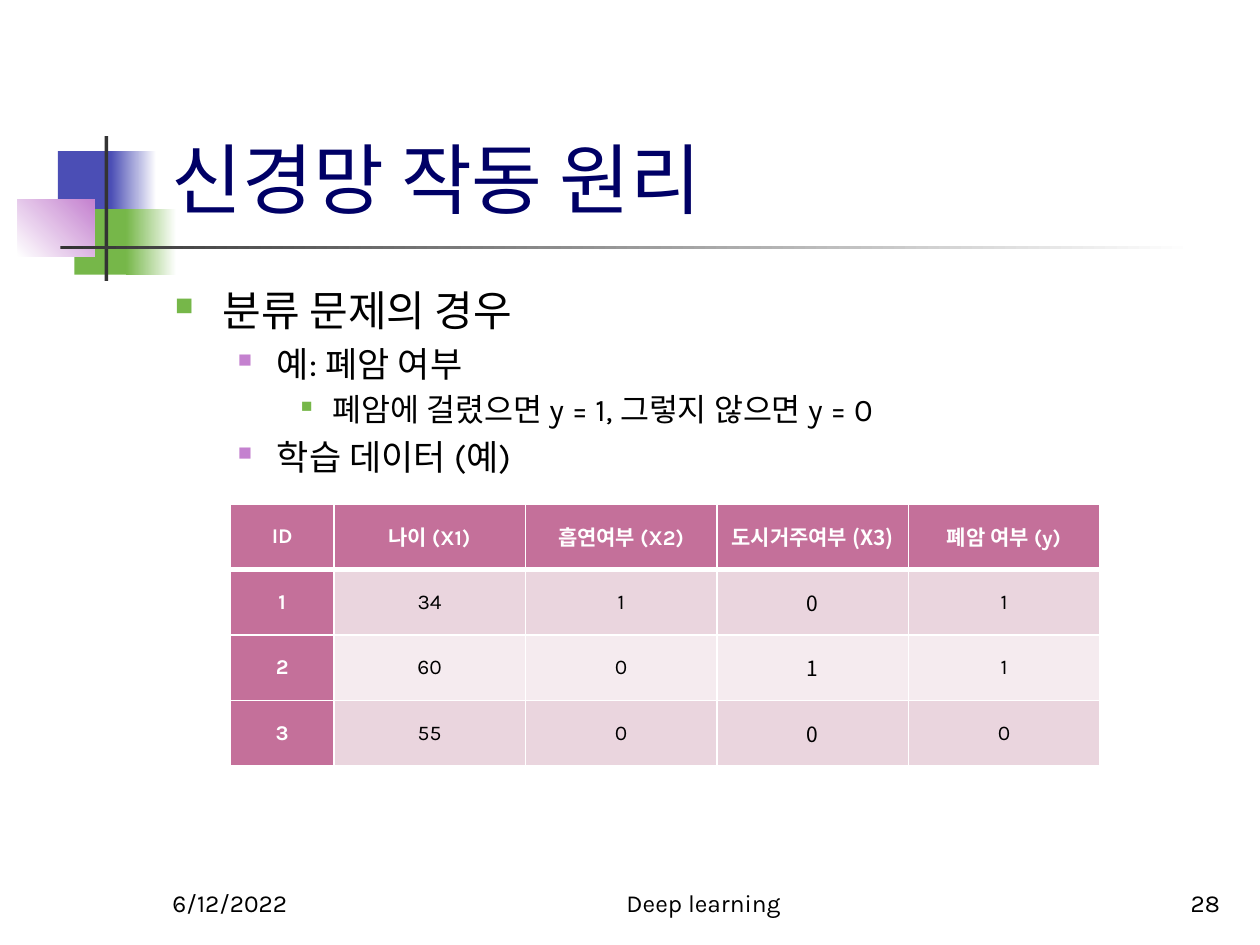
from dataclasses import dataclass
from typing import Any

from lxml import etree
from pptx import Presentation
from pptx import util as u
from pptx.dml.color import RGBColor
from pptx.enum import shapes, text
from pptx.oxml import ns

ALIGN = {"l": text.PP_ALIGN.LEFT, "c": text.PP_ALIGN.CENTER, "r": text.PP_ALIGN.RIGHT}


def color(code):
    return RGBColor.from_string(code)


def child(parent, tag, **attributes):
    return etree.SubElement(parent, ns.qn(tag), **attributes)


def write(paragraph, words, font="Karla", size=14, ink="000000", bold=False,
          align="l", before=0, after=0):
    paragraph.alignment = ALIGN[align]
    paragraph.space_before = u.Pt(before)
    paragraph.space_after = u.Pt(after)
    run = paragraph.add_run()
    run.text = words
    run.font.name = font
    run.font.size = u.Pt(size)
    run.font.bold = bold
    run.font.color.rgb = color(ink)


@dataclass
class LectureSlide:
    slide: Any
    blue: str = "4B4EB5"
    green: str = "76B749"
    violet: str = "C481CF"
    dark: str = "333333"
    white: str = "FFFFFF"
    navy: str = "000066"
    rose: str = "C4709A"
    bands: tuple = ("EAD5DE", "F5EBEF")

    def block(self, box, start, end=None, angle=0):
        rect = self.slide.shapes.add_shape(
            shapes.MSO_SHAPE.RECTANGLE, *map(u.Inches, box))
        rect.shadow.inherit = False
        rect.line.fill.background()
        if end is None:
            rect.fill.solid()
            rect.fill.fore_color.rgb = color(start)
            return
        rect.fill.gradient()
        rect.fill.gradient_angle = angle
        for stop, code in zip(rect.fill.gradient_stops, (start, end)):
            stop.color.rgb = color(code)

    def title(self, box, words):
        heading = self.slide.shapes.title
        heading.left, heading.top, heading.width, heading.height = map(u.Inches, box)
        frame = heading.text_frame
        frame.auto_size = text.MSO_AUTO_SIZE.NONE
        frame.vertical_anchor = text.MSO_ANCHOR.BOTTOM
        write(frame.paragraphs[0], words, size=44, ink=self.navy)

    def frame(self, box, anchor=text.MSO_ANCHOR.TOP):
        frame = self.slide.shapes.add_textbox(*map(u.Inches, box)).text_frame
        frame.word_wrap = True
        frame.vertical_anchor = anchor
        return frame

    def footer(self, box, words, align):
        frame = self.frame(box, text.MSO_ANCHOR.BOTTOM)
        write(frame.paragraphs[0], words, align=align)

    def outline(self, box, points):
        levels = ((24, 0.38, 0.38, self.green, 60),
                  (20, 0.81, 0.31, self.violet, 55),
                  (18, 1.25, 0.25, self.green, 50))
        frame = self.frame(box)
        for i, (level, words) in enumerate(points):
            size, margin, hang, bullet, percent = levels[level]
            paragraph = frame.add_paragraph() if i else frame.paragraphs[0]
            paragraph.level = level
            props = paragraph._p.get_or_add_pPr()
            props.set("marL", str(u.Inches(margin)))
            props.set("indent", str(-u.Inches(hang)))
            child(child(props, "a:buClr"), "a:srgbClr", val=bullet)
            child(props, "a:buSzPct", val=str(percent * 1000))
            child(props, "a:buChar", char="■")
            write(paragraph, words, size=size, before=0.2 * size if i else 0)

    def borders(self, cell, **widths):
        props = cell._tc.get_or_add_tcPr()
        for i, side in enumerate("LRTB"):
            width = u.Pt(widths.get(side, 1))
            edge = etree.Element(ns.qn(f"a:ln{side}"), w=str(width))
            child(child(edge, "a:solidFill"), "a:srgbClr", val=self.white)
            props.insert(i, edge)

    def table(self, box, widths, rows):
        grid = self.slide.shapes.add_table(
            len(rows), len(widths), *map(u.Inches, box)).table
        for column, width in zip(grid.columns, widths):
            column.width = u.Inches(width)
        for r, row in enumerate(rows):
            grid.rows[r].height = u.Inches(box[3] / len(rows))
            for c, words in enumerate(row):
                cell = grid.cell(r, c)
                header = r == 0 or c == 0
                cell.fill.solid()
                cell.fill.fore_color.rgb = color(
                    self.rose if header else self.bands[(r - 1) % 2])
                cell.margin_left = cell.margin_right = u.Inches(0.07)
                cell.margin_top = cell.margin_bottom = 0
                cell.vertical_anchor = text.MSO_ANCHOR.MIDDLE
                self.borders(cell, T=3 if r == 1 else 1, B=3 if r == 0 else 1)
                write(cell.text_frame.paragraphs[0], words, size=12, bold=header,
                      font="Noto Sans CJK KR" if c == 3 else "Karla",
                      ink=self.white if header else "000000",
                      align="c", before=8, after=8)


def main():
    deck = Presentation()
    deck.slide_width, deck.slide_height = u.Inches(10), u.Inches(7.5)
    page = LectureSlide(deck.slides.add_slide(deck.slide_layouts[5]))

    page.block((0.46, 1.2, 0.48, 0.52), page.blue)
    page.block((0.88, 1.2, 0.36, 0.52), page.blue, page.white)
    page.block((0.59, 1.66, 0.46, 0.52), page.green)
    page.block((1, 1.66, 0.4, 0.52), page.green, page.white)
    page.block((0.14, 1.58, 0.61, 0.46), page.white, page.violet, angle=45)
    page.block((0.83, 1.08, 0.03, 1.15), page.dark)
    page.block((0.48, 1.95, 9, 0.03), page.dark, page.white)

    page.title((1.26, 0.23, 8.52, 1.6), "신경망 작동 원리")
    page.outline((1.29, 2.21, 8.5, 4.5), (
        (0, "분류 문제의 경우"),
        (1, "예: 폐암 여부"),
        (2, "폐암에 걸렸으면 y = 1, 그렇지 않으면 y = 0"),
        (1, "학습 데이터 (예)"),
    ))
    page.footer((1.27, 6.83, 2.08, 0.5), "6/12/2022", "l")
    page.footer((4, 6.83, 3.17, 0.5), "Deep learning", "c")
    page.footer((7.7, 6.83, 2.08, 0.5), "28", "r")
    page.table((1.83, 4, 6.9, 2.08), [0.82] + [1.52] * 4, (
        ("ID", "나이 (X1)", "흡연여부 (X2)", "도시거주여부 (X3)", "폐암 여부 (y)"),
        ("1", "34", "1", "0", "1"),
        ("2", "60", "0", "1", "1"),
        ("3", "55", "0", "0", "0"),
    ))
    deck.save("out.pptx")


if __name__ == "__main__":
    main()
